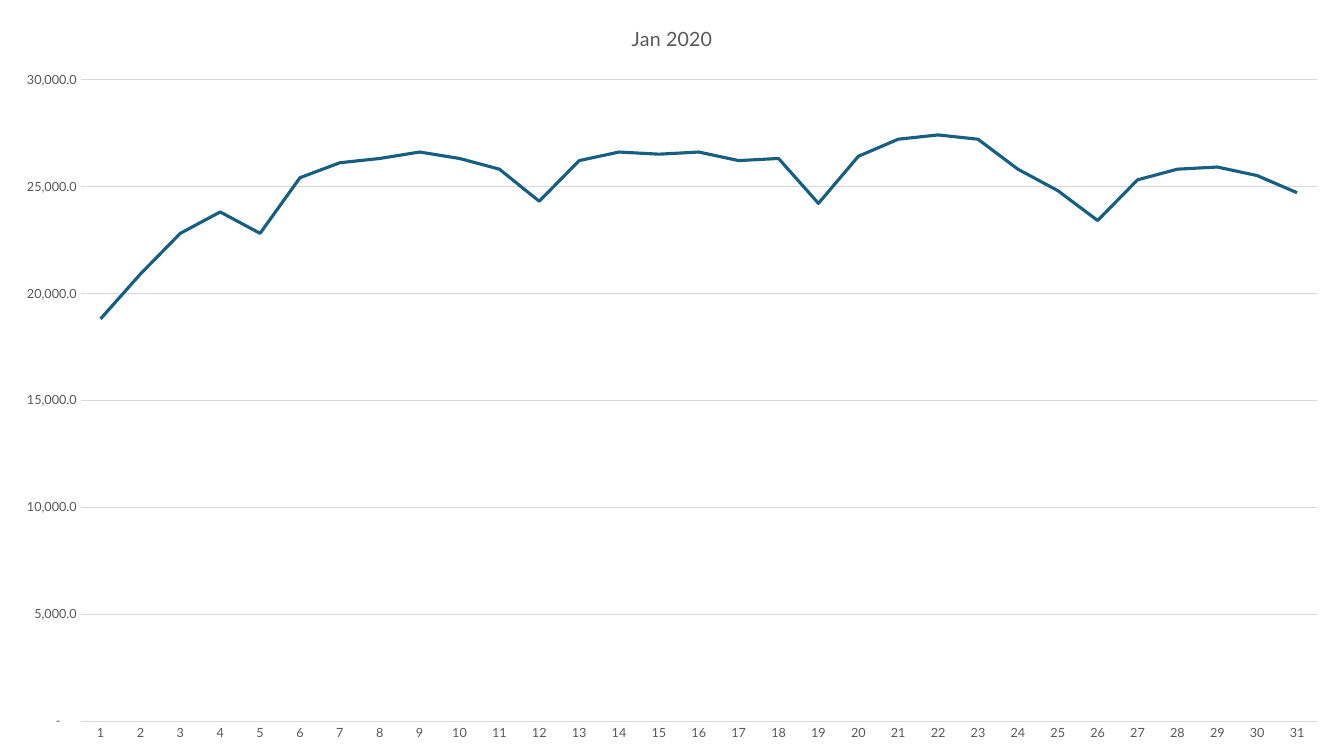
import pptx
import pptx.chart.data
import pptx.dml.color
import pptx.enum.chart
import pptx.oxml
import pptx.oxml.ns
import pptx.util

COLORS = {"line": "156082", "label": "595959", "grid": "D9D9D9", "text": "000000"}
FONT = "Lato"
VALUE_FORMAT = '#,##0.0;[Red]\\-#,##0.0;"-"_____;'
DAILY_VALUES = [
    18800, 20900, 22800, 23800, 22800, 25400, 26100, 26300, 26600, 26300, 25800,
    24300, 26200, 26600, 26500, 26600, 26200, 26300, 24200, 26400, 27200,
    27400, 27200, 25800, 24800, 23400, 25300, 25800, 25900, 25500, 24700,
]
# Shares of the slide taken by the plot
PLOT_SHARES = {"x": 0.06, "y": 0.105, "w": 0.92, "h": 0.849}


def style_font(font, size, color):
    font.name = FONT
    font.size = pptx.util.Pt(size)
    font.bold = False
    font.color.rgb = pptx.dml.color.RGBColor.from_string(COLORS[color])


def style_line(line, color, width):
    line.color.rgb = pptx.dml.color.RGBColor.from_string(COLORS[color])
    line.width = pptx.util.Pt(width)


def style_axis(axis):
    axis.major_tick_mark = pptx.enum.chart.XL_TICK_MARK.NONE
    axis.minor_tick_mark = pptx.enum.chart.XL_TICK_MARK.NONE
    style_font(axis.tick_labels.font, 9, "label")


def place_plot(chart):
    plot_area = chart.element.find(".//" + pptx.oxml.ns.qn("c:plotArea"))
    for automatic in plot_area.findall(pptx.oxml.ns.qn("c:layout")):
        plot_area.remove(automatic)
    shares = "".join(f'<c:{key} val="{share}"/>' for key, share in PLOT_SHARES.items())
    plot_area.insert(0, pptx.oxml.parse_xml(
        f'<c:layout {pptx.oxml.ns.nsdecls("c")}><c:manualLayout>'
        '<c:layoutTarget val="inner"/><c:xMode val="edge"/><c:yMode val="edge"/>'
        f'{shares}</c:manualLayout></c:layout>'))


def add_month_chart(slide, month, values, width, height):
    # Data
    month_data = pptx.chart.data.CategoryChartData(number_format=VALUE_FORMAT)
    month_data.categories = [str(day) for day in range(1, len(values) + 1)]
    month_data.add_series("Series 1", values)
    chart = slide.shapes.add_chart(
        pptx.enum.chart.XL_CHART_TYPE.LINE, 0, 0, width, height, month_data).chart
    style_font(chart.font, 10, "text")
    chart.has_legend = False

    # Title
    chart.has_title = True
    heading = chart.chart_title.text_frame
    heading.text = month
    style_font(heading.paragraphs[0].runs[0].font, 14, "label")
    chart.chart_title.include_in_layout = False

    # Axes
    day_axis, value_axis = chart.category_axis, chart.value_axis
    for axis in (day_axis, value_axis):
        style_axis(axis)
    style_line(day_axis.format.line, "grid", 0.75)
    value_axis.format.line.fill.background()
    value_axis.minimum_scale, value_axis.maximum_scale = 0, 30000
    value_axis.major_unit = 5000
    value_axis.tick_labels.number_format = VALUE_FORMAT
    value_axis.tick_labels.number_format_is_linked = False
    style_line(value_axis.major_gridlines.format.line, "grid", 0.75)

    # Daily line
    chart.plots[0].vary_by_categories = False
    daily_line = chart.plots[0].series[0]
    daily_line.smooth = False
    daily_line.marker.style = pptx.enum.chart.XL_MARKER_STYLE.NONE
    style_line(daily_line.format.line, "line", 2.25)
    place_plot(chart)


def main():
    deck = pptx.Presentation()
    deck.slide_width = pptx.util.Inches(13.33)
    deck.slide_height = pptx.util.Inches(7.5)
    slide = deck.slides.add_slide(deck.slide_layouts[6])
    add_month_chart(slide, "Jan 2020", DAILY_VALUES, deck.slide_width, deck.slide_height)
    deck.save("out.pptx")


if __name__ == "__main__":
    main()
